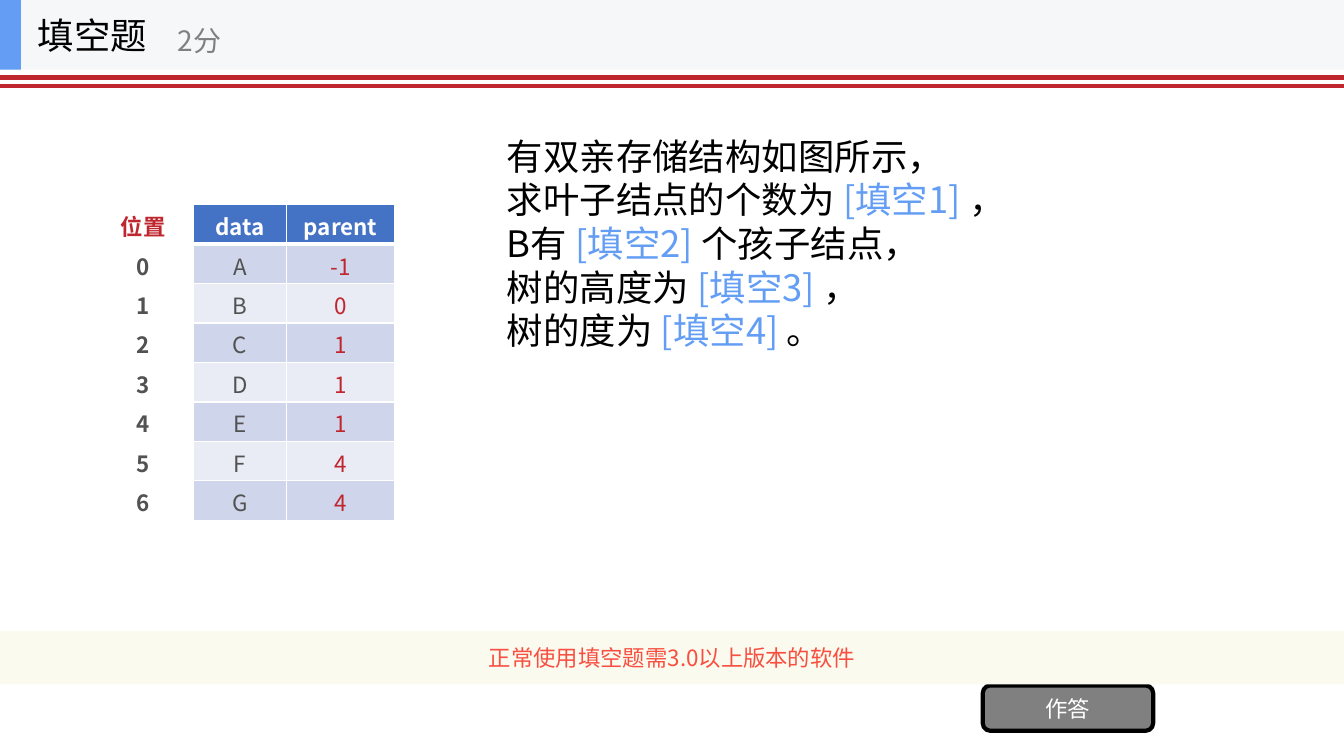
import pptx
import pptx.dml.color
import pptx.enum.shapes
import pptx.enum.text
import pptx.oxml
import pptx.oxml.ns
import pptx.util
import lxml.etree

Pt = pptx.util.Pt
RGBColor = pptx.dml.color.RGBColor
SHAPES = pptx.enum.shapes.MSO_SHAPE
ALIGN = pptx.enum.text.PP_ALIGN
MIDDLE = pptx.enum.text.MSO_ANCHOR.MIDDLE
qn = pptx.oxml.ns.qn

FONT = "Noto Sans CJK SC"
BLACK = RGBColor(0x00, 0x00, 0x00)
WHITE = RGBColor(0xFF, 0xFF, 0xFF)
GRAY = RGBColor(0x80, 0x80, 0x80)
DARK_GRAY = RGBColor(0x52, 0x52, 0x52)
RED = RGBColor(0xC0, 0x26, 0x2E)
ORANGE = RGBColor(0xF8, 0x4F, 0x41)
BLUE = RGBColor(0x63, 0x9E, 0xF4)
HEAD_BLUE = RGBColor(0x44, 0x72, 0xC4)
BAND_DARK = RGBColor(0xCF, 0xD5, 0xEA)
BAND_LIGHT = RGBColor(0xE9, 0xEB, 0xF5)
BAR_GRAY = RGBColor(0xF6, 0xF7, 0xF8)
CREAM = RGBColor(0xFB, 0xFA, 0xEF)

PAGE_WIDTH, PAGE_HEIGHT = 960, 540
QUESTION = [
    ("有双亲存储结构如图所示，", "", ""),
    ("求叶子结点的个数为 ", "[填空1] ", "，"),
    ("B有 ", "[填空2] ", "个孩子结点，"),
    ("树的高度为 ", "[填空3] ", "，"),
    ("树的度为 ", "[填空4] ", "。"),
]
HEADINGS = ("位置", "data", "parent")
PARENTS = (-1, 0, 1, 1, 1, 4, 4)


def style_para(para, size, color, bold=False, align=ALIGN.LEFT):
    para.alignment = align
    font = para.font
    font.name, font.size, font.bold = FONT, Pt(size), bold
    font.color.rgb = color
    east_asian = lxml.etree.SubElement(para._p.pPr.find(qn("a:defRPr")), qn("a:ea"))
    east_asian.set("typeface", FONT)


def add_box(page, kind, left, top, width, height, fill):
    box = page.shapes.add_shape(kind, Pt(left), Pt(top), Pt(width), Pt(height))
    box.shadow.inherit = False
    box.fill.solid()
    box.fill.fore_color.rgb = fill
    box.line.fill.background()
    return box


def write_line(box, text, size, color, align=ALIGN.LEFT):
    frame = box.text_frame
    frame.word_wrap = False
    frame.vertical_anchor = MIDDLE
    para = frame.paragraphs[0]
    para.add_run().text = text
    style_para(para, size, color, align=align)


def add_header(page, left, top, width, height):
    add_box(page, SHAPES.RECTANGLE, left, top, width, height, BAR_GRAY)
    add_box(page, SHAPES.RECTANGLE, left, top, 15, height, BLUE)
    title = page.shapes.add_textbox(Pt(left + 20), Pt(top), Pt(150), Pt(height))
    write_line(title, "填空题", 26, BLACK)
    score = page.shapes.add_textbox(Pt(left + 120), Pt(top + 9), Pt(180), Pt(40))
    write_line(score, "2分", 20, GRAY)


def add_double_rule(page, left, top, width, gap):
    for y in (top, top + gap):
        rule = page.shapes.add_connector(
            pptx.enum.shapes.MSO_CONNECTOR.STRAIGHT, Pt(left), Pt(y), Pt(left + width), Pt(y))
        rule.line.color.rgb = RED
        rule.line.width = Pt(3)
        lxml.etree.SubElement(rule._element.spPr, qn("a:effectLst"))


def add_question(page, left, top, width, height):
    box = page.shapes.add_textbox(Pt(left), Pt(top), Pt(width), Pt(height))
    frame = box.text_frame
    frame.word_wrap = True
    frame.vertical_anchor = MIDDLE
    frame.margin_bottom = 0
    for index, parts in enumerate(QUESTION):
        para = frame.add_paragraph() if index else frame.paragraphs[0]
        for text, color in zip(parts, (BLACK, BLUE, BLACK)):
            if text:
                span = para.add_run()
                span.text = text
                span.font.color.rgb = color
        style_para(para, 26, BLACK)
        para.line_spacing = Pt(31.2)


def set_borders(cell, bottom_width):
    properties = cell._tc.get_or_add_tcPr()
    for side, width in (("L", 1), ("R", 1), ("T", 1), ("B", bottom_width)):
        properties.append(pptx.oxml.parse_xml(
            f'<a:ln{side} xmlns:a="http://schemas.openxmlformats.org/drawingml/2006/main" '
            f'w="{Pt(width)}"><a:solidFill><a:srgbClr val="{WHITE}"/></a:solidFill></a:ln{side}>'))


def add_parent_table(page, left, top, widths, row_height):
    rows = [HEADINGS] + [
        (str(place), "ABCDEFG"[place], str(parent)) for place, parent in enumerate(PARENTS)]
    table = page.shapes.add_table(
        len(rows), len(widths), Pt(left), Pt(top),
        Pt(sum(widths)), Pt(row_height * len(rows))).table
    for column, width in zip(table.columns, widths):
        column.width = Pt(width)
    for row_index, row in enumerate(rows):
        table.rows[row_index].height = Pt(row_height)
        is_head = row_index == 0
        colors = (RED, WHITE, WHITE) if is_head else (DARK_GRAY, DARK_GRAY, RED)
        band = HEAD_BLUE if is_head else BAND_DARK if row_index % 2 else BAND_LIGHT
        for column_index, text in enumerate(row):
            cell = table.cell(row_index, column_index)
            set_borders(cell, 3 if is_head else 1)
            cell.fill.solid()
            cell.fill.fore_color.rgb = band if column_index else WHITE
            para = cell.text_frame.paragraphs[0]
            para.add_run().text = text
            style_para(para, 16, colors[column_index],
                       is_head or column_index == 0, ALIGN.CENTER)


def add_answer_button(page, left, top, width, height):
    button = add_box(page, SHAPES.ROUNDED_RECTANGLE, left, top, width, height, GRAY)
    button.line.color.rgb = BLACK
    button.line.width = Pt(3)
    write_line(button, "作答", 16, WHITE, ALIGN.CENTER)


def add_notice(page, left, top, width, height):
    strip = add_box(page, SHAPES.RECTANGLE, left, top, width, height, CREAM)
    write_line(strip, "正常使用填空题需3.0以上版本的软件", 16, ORANGE, ALIGN.CENTER)


def main():
    deck = pptx.Presentation()
    deck.slide_width, deck.slide_height = Pt(PAGE_WIDTH), Pt(PAGE_HEIGHT)
    page = deck.slides.add_slide(deck.slide_layouts[6])
    add_double_rule(page, 0, 55.4, PAGE_WIDTH, 5.8)
    add_question(page, 355, 59, 502, 225.4)
    add_answer_button(page, 702, 489.6, 121.7, 32.4)
    add_notice(page, 0, 450.7, PAGE_WIDTH, 38.2)
    add_parent_table(page, 66.2, 146.2, (72, 66.2, 77.8), 28.2)
    add_header(page, 0, 0, PAGE_WIDTH, 49.7)
    deck.save("out.pptx")


if __name__ == "__main__":
    main()
